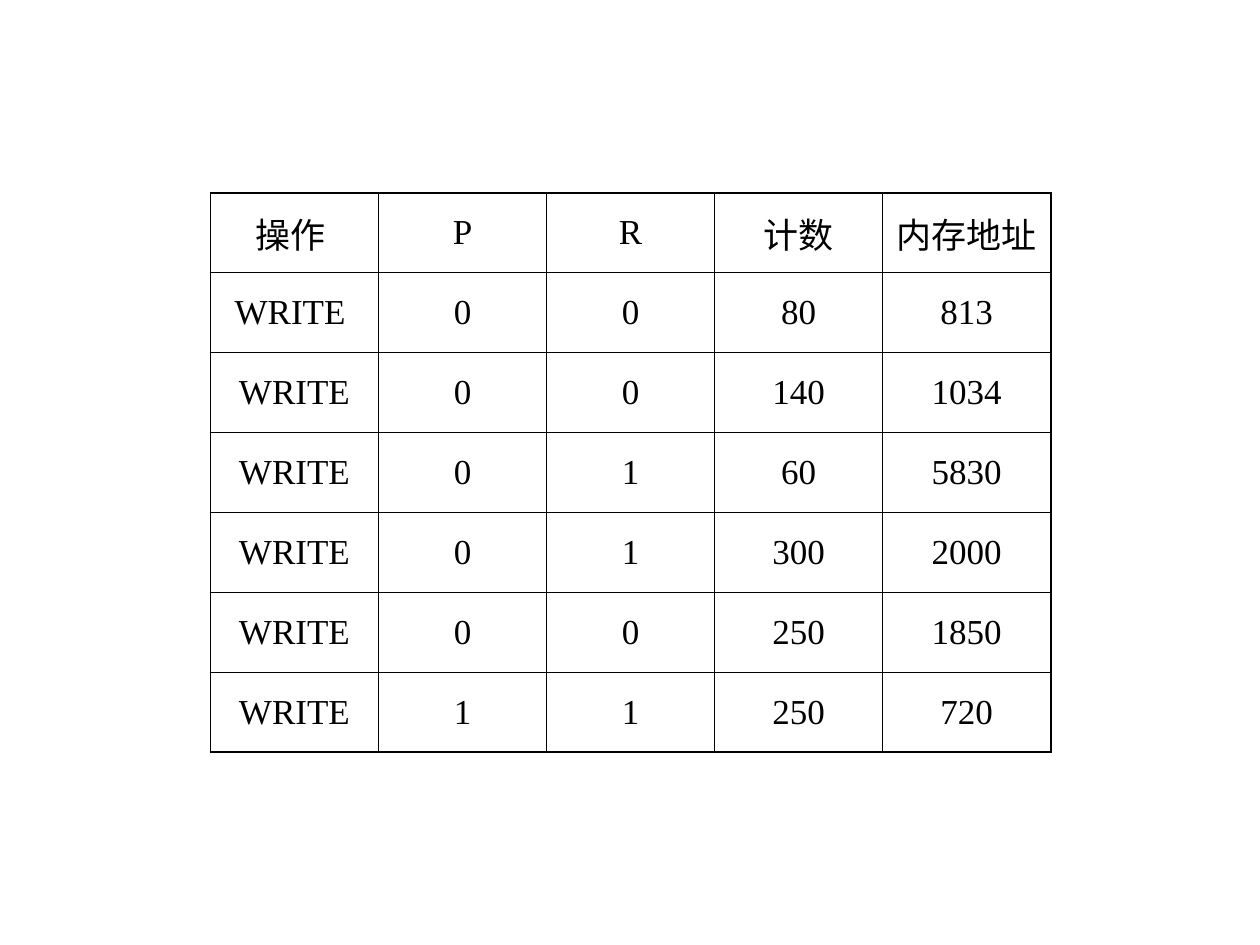
from lxml.etree import SubElement
from pptx import Presentation
from pptx.dml.color import RGBColor
from pptx.enum.text import MSO_ANCHOR, PP_ALIGN
from pptx.oxml.ns import qn
from pptx.util import Inches, Pt

COLORS = {"text": "000000", "border": "000000"}
FONT = "Times New Roman"
THIN, THICK = Pt(0.45), Pt(1.08)
ROWS = [
    ["操作 ", "P", "R", "计数", "内存地址"],
    ["WRITE ", "0", "0", "80", "813"],
    ["WRITE", "0", "0", "140", "1034"],
    ["WRITE", "0", "1", "60", "5830"],
    ["WRITE", "0", "1", "300", "2000"],
    ["WRITE", "0", "0", "250", "1850"],
    ["WRITE", "1", "1", "250", "720"],
]


def write_cell(cell, text):
    cell.text_frame.text = text
    cell.vertical_anchor = MSO_ANCHOR.MIDDLE
    para = cell.text_frame.paragraphs[0]
    para.alignment = PP_ALIGN.CENTER
    para.space_before = Pt(5)
    font = para.runs[0].font
    font.name = FONT
    font.size = Pt(20)
    font.bold = False
    font.color.rgb = RGBColor.from_string(COLORS["text"])


def set_borders(cell, widths):
    """Draw the left, right, top and bottom borders, then leave the cell unfilled."""
    properties = cell._tc.get_or_add_tcPr()
    for side, width in zip("LRTB", widths):
        line = SubElement(properties, qn(f"a:ln{side}"), w=str(width))
        fill = SubElement(line, qn("a:solidFill"))
        SubElement(fill, qn("a:srgbClr"), val=COLORS["border"])
    cell.fill.background()


def add_operations_table(page):
    last_row, last_column = len(ROWS) - 1, len(ROWS[0]) - 1
    frame = page.shapes.add_table(
        len(ROWS), len(ROWS[0]),
        Inches(1.67), Inches(1.53), Inches(6.67), Inches(4.44),
    )
    table = frame.table
    table.first_row = False
    table.horz_banding = False
    for row, values in enumerate(ROWS):
        for column, text in enumerate(values):
            cell = table.cell(row, column)
            write_cell(cell, text)
            outer = (column == 0, column == last_column, row == 0, row == last_row)
            set_borders(cell, [THICK if edge else THIN for edge in outer])


def main():
    deck = Presentation()
    deck.slide_width, deck.slide_height = Inches(10), Inches(7.5)
    page = deck.slides.add_slide(deck.slide_layouts[6])
    add_operations_table(page)
    deck.save("out.pptx")


if __name__ == "__main__":
    main()
